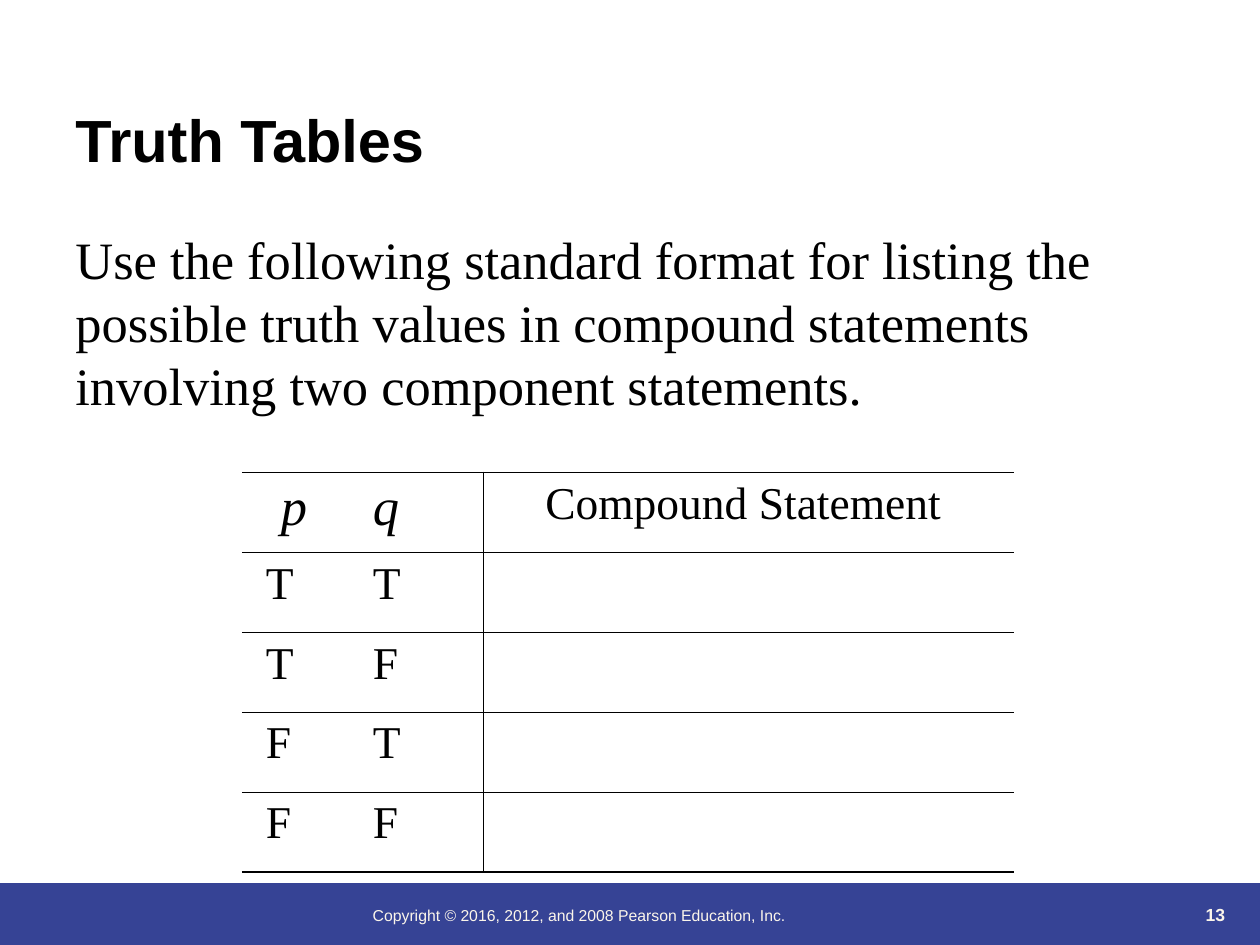
from dataclasses import dataclass

from lxml import etree
from pptx import Presentation
from pptx import util as u
from pptx.dml.color import RGBColor
from pptx.enum import shapes, text
from pptx.oxml.ns import qn

COLORS = {"ink": "000000", "band": "364395", "footer": "FBF5EA"}
SANS, SERIF = "Arial", "Times New Roman"
THIN, THICK = 0.45, 1.08


@dataclass
class Label:
    wording: str
    left: float
    top: float
    width: float
    height: float
    size: float
    face: str = SANS
    color: str = "ink"
    bold: bool = False
    align: text.PP_ALIGN = text.PP_ALIGN.LEFT
    anchor: text.MSO_ANCHOR = text.MSO_ANCHOR.TOP
    line_pitch: float | None = None


@dataclass
class TruthRow:
    values: str
    statement: str = ""
    size: float = 26
    italic: bool = False
    inset: float = 0.19
    second_value: float = 0.85


LABELS = [
    Label("Copyright © 2016, 2012, and 2008 Pearson Education, Inc.",
          2.86, 7.14, 4.92, 0.36, 9, color="footer"),
    Label("13", 8.9, 6.89, 0.92, 0.5, 10, color="footer", bold=True,
          align=text.PP_ALIGN.RIGHT, anchor=text.MSO_ANCHOR.BOTTOM),
    Label("Truth Tables", 0.5, 0.18, 9, 1.25, 34, bold=True,
          anchor=text.MSO_ANCHOR.BOTTOM),
    Label("Use the following standard format for listing the possible truth "
          "values in compound statements involving two component statements.",
          0.5, 1.75, 8.92, 1.6, 30, face=SERIF, line_pitch=36),
]

TRUTH_ROWS = [
    TruthRow("p\tq", "Compound Statement ", 30, True, 0.31, 0.73),
    *(TruthRow(values) for values in ("T\tT", "T\tF", "F\tT", "F\tF")),
]


def rgb(name: str) -> RGBColor:
    return RGBColor.from_string(COLORS[name])


def set_font(paragraph, face: str, size: float, color: str,
             bold: bool = False, italic: bool = False) -> None:
    font = paragraph.font
    font.name, font.size = face, u.Pt(size)
    font.bold, font.italic = bold, italic
    font.color.rgb = rgb(color)


def add_label(slide, label: Label) -> None:
    box = slide.shapes.add_textbox(*map(
        u.Inches, (label.left, label.top, label.width, label.height)))
    frame = box.text_frame
    frame.word_wrap = True
    frame.vertical_anchor = label.anchor
    paragraph = frame.paragraphs[0]
    paragraph.text = label.wording
    paragraph.alignment = label.align
    if label.line_pitch:
        paragraph.line_spacing = u.Pt(label.line_pitch)
    set_font(paragraph, label.face, label.size, label.color, label.bold)


def add_footer_band(slide) -> None:
    band = slide.shapes.add_shape(
        shapes.MSO_SHAPE.RECTANGLE,
        u.Inches(0), u.Inches(7.01), u.Inches(10), u.Inches(0.49))
    band.shadow.inherit = False
    band.fill.solid()
    band.fill.fore_color.rgb = rgb("band")
    band.line.fill.background()


def set_borders(cell, widths: dict[str, float]) -> None:
    """Rule the sides named in widths (in points) and clear the others."""
    properties = cell._tc.get_or_add_tcPr()
    for position, side in enumerate(("L", "R", "T", "B")):
        line = etree.Element(qn(f"a:ln{side}"))
        if side in widths:
            line.set("w", str(u.Pt(widths[side])))
            fill = etree.SubElement(line, qn("a:solidFill"))
            etree.SubElement(fill, qn("a:srgbClr"), val=COLORS["ink"])
        else:
            etree.SubElement(line, qn("a:noFill"))
        properties.insert(position, line)


def add_tab_stop(paragraph, position: float) -> None:
    tabs = etree.SubElement(paragraph._p.get_or_add_pPr(), qn("a:tabLst"))
    etree.SubElement(tabs, qn("a:tab"), pos=str(u.Inches(position)), algn="l")


def add_truth_table(slide, rows: list[TruthRow]) -> None:
    widths, height = (1.92, 4.21), 3.17
    table = slide.shapes.add_table(
        len(rows), len(widths), u.Inches(1.92), u.Inches(3.75),
        u.Inches(sum(widths)), u.Inches(height)).table
    table.first_row = table.horz_banding = False
    for column, width in zip(table.columns, widths):
        column.width = u.Inches(width)

    for index, (row, content) in enumerate(zip(table.rows, rows)):
        row.height = u.Inches(height / len(rows))
        values_cell, statement_cell = row.cells
        rules = {"T": THICK if index == 0 else THIN,
                 "B": THICK if index == len(rows) - 1 else THIN}
        for cell, divider in ((values_cell, "R"), (statement_cell, "L")):
            cell.fill.background()
            set_borders(cell, rules | {divider: THIN})

        values_cell.margin_left = u.Inches(content.inset)
        values = values_cell.text_frame.paragraphs[0]
        values.text = content.values
        add_tab_stop(values, content.second_value)
        set_font(values, SERIF, content.size, "ink", italic=content.italic)

        if content.statement:
            statement = statement_cell.text_frame.paragraphs[0]
            statement.text = content.statement
            statement.alignment = text.PP_ALIGN.CENTER
            set_font(statement, SERIF, 26, "ink")


def main() -> None:
    deck = Presentation()
    deck.slide_width, deck.slide_height = u.Inches(10), u.Inches(7.5)
    slide = deck.slides.add_slide(deck.slide_layouts[6])
    add_footer_band(slide)
    for label in LABELS:
        add_label(slide, label)
    add_truth_table(slide, TRUTH_ROWS)
    deck.save("out.pptx")


if __name__ == "__main__":
    main()
